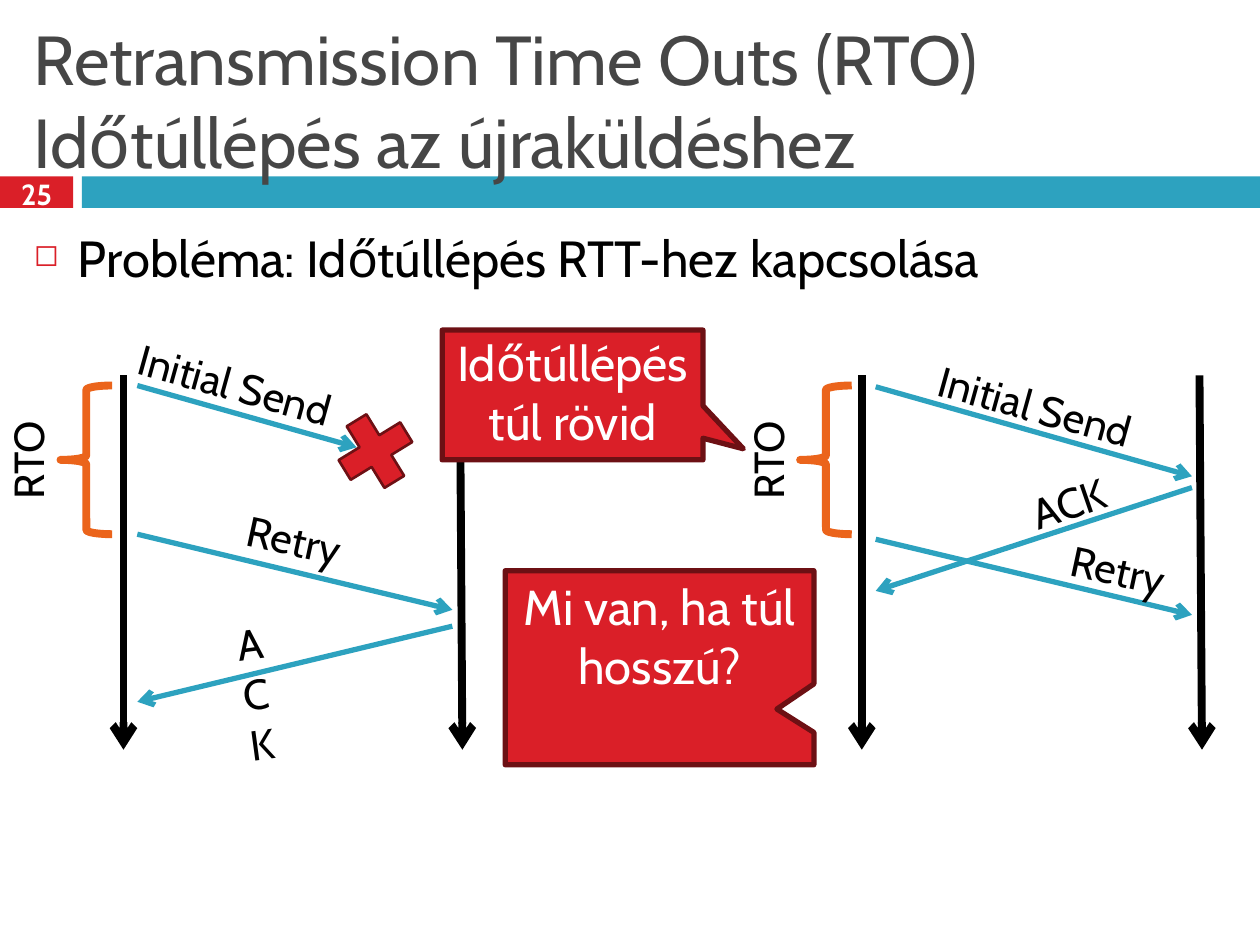
from dataclasses import dataclass

from lxml.etree import SubElement
from pptx import Presentation
from pptx.dml.color import RGBColor as Color
from pptx.enum.shapes import MSO_CONNECTOR as Connector, MSO_SHAPE as Shape
from pptx.enum.text import MSO_ANCHOR as Anchor, MSO_AUTO_SIZE as AutoSize, PP_ALIGN as Align
from pptx.oxml.ns import qn
from pptx.util import Inches, Pt


@dataclass(frozen=True)
class Theme:
    font: str = "Cabin"
    red: str = "DA1F28"
    dark_red: str = "6D1014"
    teal: str = "2DA2BF"
    orange: str = "EB641B"
    grey: str = "464646"
    black: str = "000000"
    white: str = "FFFFFF"
    title_size: float = 39.6
    body_size: float = 29
    callout_size: float = 28
    label_size: float = 24
    number_size: float = 16.6


def format_text(paragraph, text, *, size, color, font, bold=False, align=Align.LEFT):
    paragraph.text = text
    paragraph.alignment = align
    for run in paragraph.runs:
        run.font.name = font
        run.font.size = Pt(size)
        run.font.bold = bold
        run.font.color.rgb = Color.from_string(color)


class SlideBuilder:
    def __init__(self, slide, theme):
        self.slide = slide
        self.theme = theme

    def shape(self, kind, box, fill=None, line=None, width=1.5, rotation=0, flip=False, adjustments=()):
        shape = self.slide.shapes.add_shape(kind, *map(Inches, box))
        shape.shadow.inherit = False
        shape.rotation = rotation
        if fill:
            shape.fill.solid()
            shape.fill.fore_color.rgb = Color.from_string(fill)
        else:
            shape.fill.background()
        if line:
            shape.line.color.rgb = Color.from_string(line)
            shape.line.width = Pt(width)
        else:
            shape.line.fill.background()
        for index, value in enumerate(adjustments):
            shape.adjustments[index] = value
        if flip:
            shape._element.spPr.find(qn("a:xfrm")).set("flipH", "1")
        return shape

    def text(self, text, box, size, color=None, rotation=0, anchor=Anchor.TOP, grow=False, bullet=None, **style):
        shape = self.slide.shapes.add_textbox(*map(Inches, box))
        shape.rotation = rotation
        frame = shape.text_frame
        frame.word_wrap = True
        frame.vertical_anchor = anchor
        frame.auto_size = AutoSize.SHAPE_TO_FIT_TEXT if grow else AutoSize.NONE
        paragraph = frame.paragraphs[0]
        if bullet:
            self.bullet(paragraph, bullet)
        format_text(paragraph, text, size=size, color=color or self.theme.black, font=self.theme.font, **style)

    def bullet(self, paragraph, character):
        properties = paragraph._p.get_or_add_pPr()
        indent = Inches(0.35)
        properties.set("marL", str(indent))
        properties.set("indent", str(-indent))
        color = SubElement(properties, qn("a:buClr"))
        SubElement(color, qn("a:srgbClr"), val=self.theme.red)
        SubElement(properties, qn("a:buSzPct"), val="60000")
        SubElement(properties, qn("a:buChar"), char=character)

    def label(self, text, box, rotation, align=Align.CENTER):
        self.text(text, box, self.theme.label_size, rotation=rotation, grow=True, align=align)

    def arrow(self, start, end, color, width):
        connector = self.slide.shapes.add_connector(Connector.STRAIGHT, *map(Inches, (*start, *end)))
        connector.line.color.rgb = Color.from_string(color)
        connector.line.width = Pt(width)
        SubElement(connector.line._get_or_add_ln(), qn("a:tailEnd"), type="arrow")
        SubElement(connector._element.spPr, qn("a:effectLst"))

    def timeline(self, start, end):
        self.arrow(start, end, self.theme.black, 4.5)

    def message(self, start, end):
        self.arrow(start, end, self.theme.teal, 3)

    def timeout(self, left, top):
        self.shape(Shape.LEFT_BRACE, (left, top, 0.41, 1.18), line=self.theme.orange, width=4.5)
        self.label("RTO", (left - 0.79, 3.4, 1.07, 0.5), 270)

    def callout(self, text, box, text_top, tip):
        theme = self.theme
        self.shape(Shape.RECTANGULAR_CALLOUT, box, theme.red, theme.dark_red, 3, flip=True, adjustments=tip)
        left, _, width, _ = box
        self.text(text, (left, text_top, width, 1.04), theme.callout_size, theme.white, grow=True, align=Align.CENTER)


def main():
    presentation = Presentation()
    presentation.slide_width, presentation.slide_height = Inches(10), Inches(7.5)
    slide = presentation.slides.add_slide(presentation.slide_layouts[6])
    theme = Theme()
    builder = SlideBuilder(slide, theme)

    builder.shape(Shape.RECTANGLE, (0, 1.4, 0.58, 0.25), theme.red)
    builder.shape(Shape.RECTANGLE, (0.65, 1.4, 9.35, 0.25), theme.teal)
    builder.text("Retransmission Time Outs (RTO)\vIdőtúllépés az újraküldéshez", (0.17, 0.25, 9.67, 1.08),
                 theme.title_size, theme.grey, anchor=Anchor.MIDDLE)
    builder.text("25", (0, 1.37, 0.58, 0.33), theme.number_size, theme.white,
                 anchor=Anchor.MIDDLE, bold=True, align=Align.CENTER)
    builder.text("Probléma: Időtúllépés RTT-hez kapcsolása", (0.17, 1.75, 9.67, 1.82),
                 theme.body_size, bullet="◻")

    for sender, receiver in ((0.98, 3.65), (6.84, 9.52)):
        builder.timeline((sender, 2.98), (sender, 5.95))
        builder.timeline((receiver, 2.98), (receiver + 0.02, 5.95))

    messages = (
        ((1.09, 3.06), (2.83, 3.55), "Initial Send", (0.77, 2.8, 2.19, 0.5), 15.6, Align.CENTER),
        ((3.59, 4.97), (1.09, 5.57), "ACK", (1.78, 4.85, 0.5, 0.5), 352.2, Align.LEFT),
        ((1.09, 4.24), (3.59, 4.84), "Retry", (1.78, 4.03, 1.11, 0.5), 12.3, Align.CENTER),
        ((6.95, 3.07), (9.46, 3.78), "Initial Send", (7.12, 2.97, 2.19, 0.5), 15.6, Align.CENTER),
        ((9.46, 3.87), (6.95, 4.69), "ACK", (7.9, 3.74, 1.16, 0.5), 341, Align.CENTER),
        ((6.95, 4.28), (9.46, 4.88), "Retry", (8.32, 4.27, 1.11, 0.5), 12.3, Align.CENTER),
    )
    for start, end, text, box, rotation, align in messages:
        builder.message(start, end)
        builder.label(text, box, rotation, align)

    for left in (0.48, 6.35):
        builder.timeout(left, 3.06)
    builder.shape(Shape.MATH_MULTIPLY, (2.59, 3.19, 0.78, 0.78), theme.red, theme.dark_red, rotation=13.5)
    builder.callout("Időtúllépés túl rövid", (3.51, 2.62, 2.07, 1.03), 2.59, (-0.655, 0.415))
    builder.callout("Mi van, ha túl hosszú?", (4.01, 4.53, 2.45, 1.54), 4.53, (-0.38, 0.213))

    presentation.save("out.pptx")


if __name__ == "__main__":
    main()
